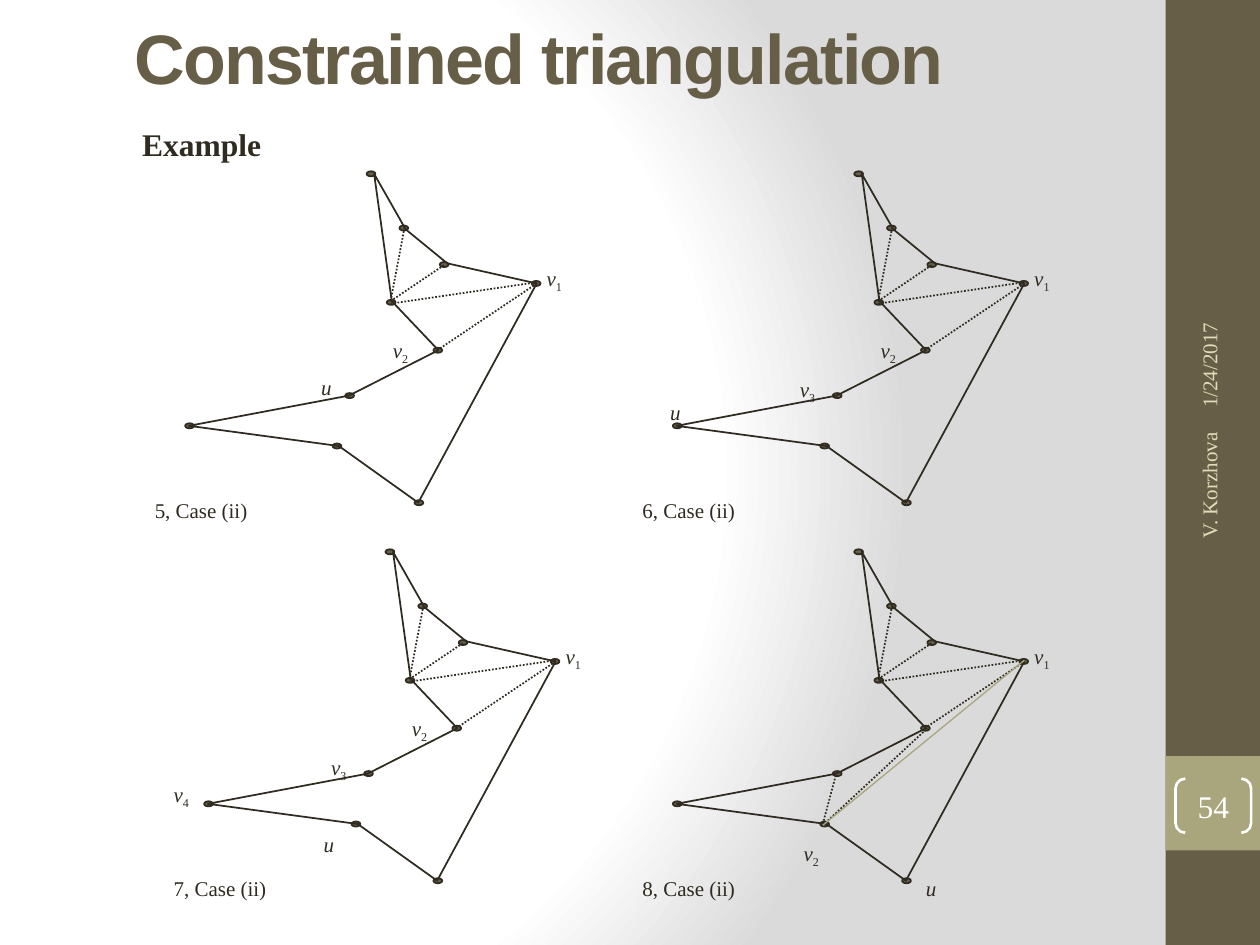
"""Build a slide with four steps of a constrained triangulation."""
from dataclasses import dataclass

from pptx import Presentation
from pptx.dml.color import RGBColor
from pptx.enum.dml import MSO_LINE
from pptx.enum.shapes import MSO_CONNECTOR, MSO_SHAPE
from pptx.enum.text import MSO_ANCHOR, PP_ALIGN
from pptx.oxml import parse_xml
from pptx.oxml.ns import nsdecls, qn
from pptx.util import Inches, Pt


@dataclass(frozen=True)
class Theme:
    ink: str = "2F2B20"
    brown: str = "675E47"
    olive: str = "A9A57C"
    sand: str = "DFDCB7"
    white: str = "FFFFFF"
    gray: str = "DADADA"
    serif: str = "Times New Roman"
    sans: str = "Arial"
    big: int = 40
    mid: int = 18
    small: int = 12


T = Theme()
COLS, ROWS = 1000, 750
CELL = Inches(10) // COLS
DOT = (7, 4)

DOTS = [(216, 261), (309, 87), (236, 72), (204, 43), (178, 0),
        (194, 102), (231, 140), (161, 176), (34, 200), (151, 216)]
RING = [(219, 263), (313, 89), (242, 73), (209, 46), (184, 2),
        (198, 103), (235, 142), (164, 178), (37, 202), (156, 218)]
CUTS = [((197, 103), (208, 45)), ((197, 103), (240, 74)),
        ((197, 105), (313, 88)), ((234, 142), (313, 89))]
MORE = [((153, 218), (164, 177)), ((153, 219), (236, 142))]
LAST = ((153, 219), (313, 88))

V1 = ("v", "1", 311, 70)
V2 = ("v", "2", 189, 127)
V3 = ("v", "3", 125, 158)
STEPS = [
    ("5, Case (ii)", (113, 136), CUTS, [V2, ("u", "", 132, 156), V1]),
    ("6, Case (ii)", (500, 136), CUTS, [V2, ("u", "", 22, 176), V1, V3]),
    ("7, Case (ii)", (128, 436), CUTS,
     [V2, ("u", "", 119, 219), V1, V3, ("v", "4", 0, 179)]),
    ("8, Case (ii)", (500, 436), CUTS + MORE,
     [("v", "2", 128, 226), ("u", "", 225, 254), V1]),
]


def grid(*vals):
    return [round(v * CELL) for v in vals]


def shift(base, spot):
    return base[0] + spot[0], base[1] + spot[1]


def tint(name):
    return RGBColor.from_string(name)


def write(par, text, size, color, face=T.serif, bold=False, slant=False):
    run = par.add_run()
    run.text = text
    font = run.font
    font.name, font.size = face, Pt(size)
    font.bold, font.italic = bold, slant
    font.color.rgb = tint(color)
    return run


def label(shapes, spot, wrap=False, anchor=MSO_ANCHOR.TOP):
    box = shapes.add_textbox(*grid(*spot))
    box.text_frame.word_wrap = wrap
    box.text_frame.vertical_anchor = anchor
    return box, box.text_frame.paragraphs[0]


def paint(shape, fill=None, line=None, width=1):
    shape.shadow.inherit = False
    if fill:
        shape.fill.solid()
        shape.fill.fore_color.rgb = tint(fill)
    else:
        shape.fill.background()
    if line:
        shape.line.color.rgb = tint(line)
        shape.line.width = Pt(width)
    else:
        shape.line.fill.background()
    return shape


def join(shapes, start, end, color=T.ink, width=1, dash=None):
    line = shapes.add_connector(MSO_CONNECTOR.STRAIGHT, *grid(*start, *end))
    line.line.color.rgb = tint(color)
    line.line.width = Pt(width)
    if dash:
        line.line.dash_style = dash
    line._element.spPr.append(parse_xml(f"<a:effectLst {nsdecls('a')}/>"))


def draw(shapes, name, base, cuts, marks):
    for dot in DOTS:
        place = grid(*shift(base, dot), *DOT)
        paint(shapes.add_shape(MSO_SHAPE.OVAL, *place), T.brown, T.ink)
    write(label(shapes, (*shift(base, (0, 254)), 95, 30))[1],
          name, T.small, T.ink)
    pen = shapes.build_freeform(*RING[0], scale=CELL)
    pen.add_line_segments(RING[1:], close=True)
    paint(pen.convert_to_shape(*grid(*base)), None, T.ink)
    for sign, sub, *spot in marks:
        par = label(shapes, (*shift(base, spot), 33 if sub else 29, 30))[1]
        write(par, sign, T.small, T.ink, slant=True)
        if sub:
            low = write(par, sub, T.small, T.ink)
            low.font._element.set("baseline", "-25000")
    for start, end in cuts:
        join(shapes, shift(base, start), shift(base, end),
             dash=MSO_LINE.ROUND_DOT)


def shade(slide):
    slide.background.fill.solid()
    back = next(slide._element.iter(qn("p:bgPr")))
    stops = "".join(
        f'<a:gs pos="{pos}000"><a:srgbClr val="{color}"/></a:gs>'
        for pos, color in ((0, T.white), (75, T.white), (100, T.gray)))
    back.replace(back[0], parse_xml(
        f'<a:gradFill {nsdecls("a")} rotWithShape="1"><a:gsLst>{stops}</a:gsLst>'
        '<a:path path="circle"><a:fillToRect l="20000" t="50000" '
        'r="100000" b="50000"/></a:path></a:gradFill>'))


def frame(slide):
    shapes = slide.shapes
    for spot, color in (((925, 0, 75, ROWS), T.brown),
                        ((925, 600, 75, 75), T.olive)):
        paint(shapes.add_shape(MSO_SHAPE.RECTANGLE, *grid(*spot)), color)
    write(label(shapes, (103, 94, 115, 40))[1],
          "Example", T.mid, T.ink, bold=True)
    par = label(shapes, (97, 19, 843, 52), True, MSO_ANCHOR.MIDDLE)[1]
    head = write(par, "Constrained triangulation", T.big, T.brown, T.sans, True)
    head.font._element.set("spc", "-100")


def side(slide):
    for text, spot, align in (
            ("1/24/2017", (826, 180, 267, 40), PP_ALIGN.LEFT),
            ("V. Korzhova", (830, 443, 259, 40), PP_ALIGN.RIGHT)):
        box, par = label(slide.shapes, spot, True, MSO_ANCHOR.MIDDLE)
        box.rotation = 270
        par.alignment = align
        write(par, text, T.small, T.sand)
    page = slide.shapes.add_shape(MSO_SHAPE.DOUBLE_BRACKET,
                                  *grid(933, 618, 60, 43))
    paint(page, None, T.white, 1.5).adjustments[0] = 0.18
    body = page.text_frame
    body.margin_left = body.margin_right = 0
    body.margin_top = body.margin_bottom = 0
    body.vertical_anchor = MSO_ANCHOR.MIDDLE
    body.paragraphs[0].alignment = PP_ALIGN.CENTER
    write(body.paragraphs[0], "54", T.mid, T.white)


def main():
    deck = Presentation()
    deck.slide_width, deck.slide_height = grid(COLS, ROWS)
    slide = deck.slides.add_slide(deck.slide_layouts[6])
    shade(slide)
    frame(slide)
    for step in STEPS[:-1]:
        draw(slide.shapes.add_group_shape().shapes, *step)
    draw(slide.shapes, *STEPS[-1])
    side(slide)
    base = STEPS[-1][1]
    join(slide.shapes, *(shift(base, end) for end in LAST), T.olive, 0.75)
    deck.save("out.pptx")


if __name__ == "__main__":
    main()
